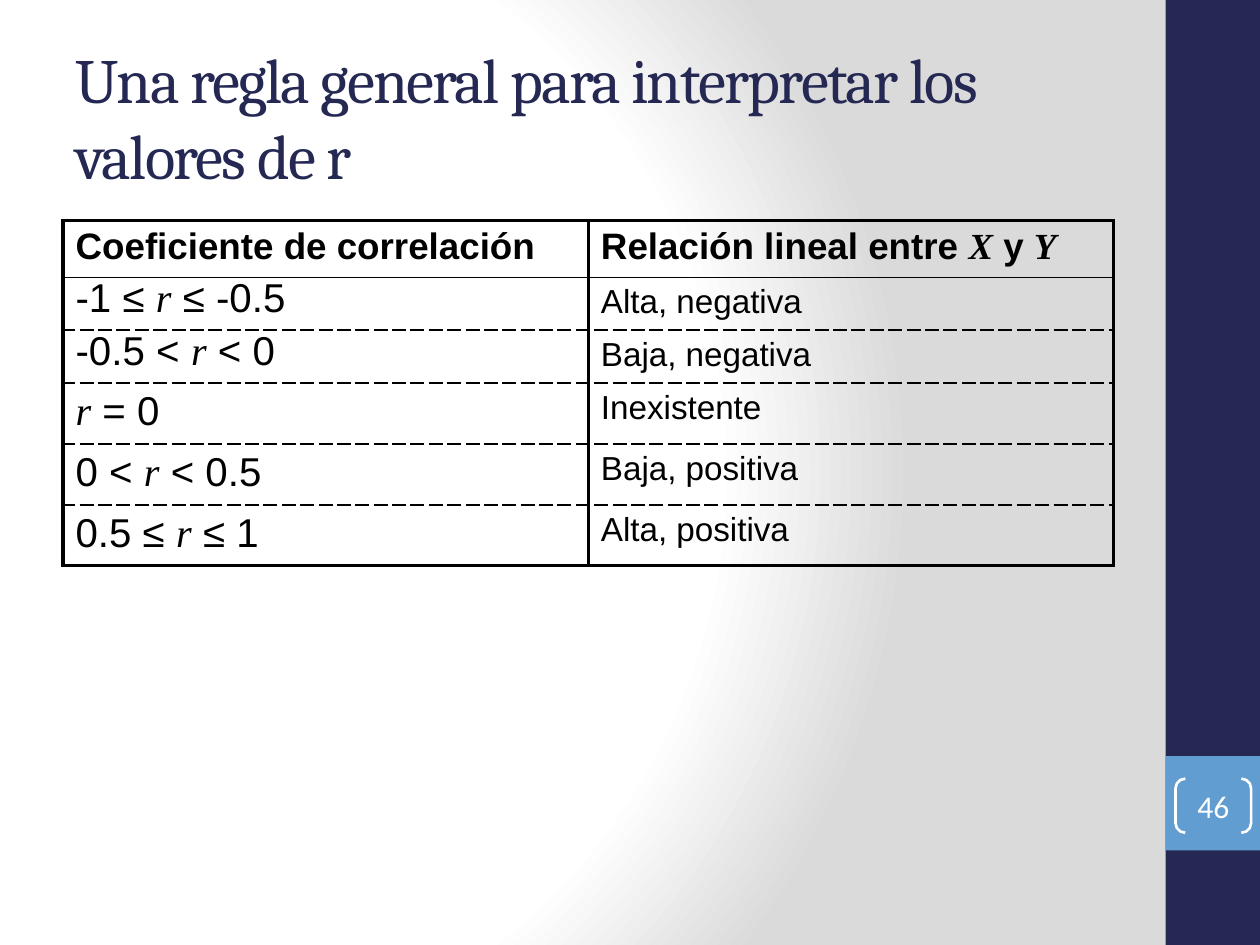
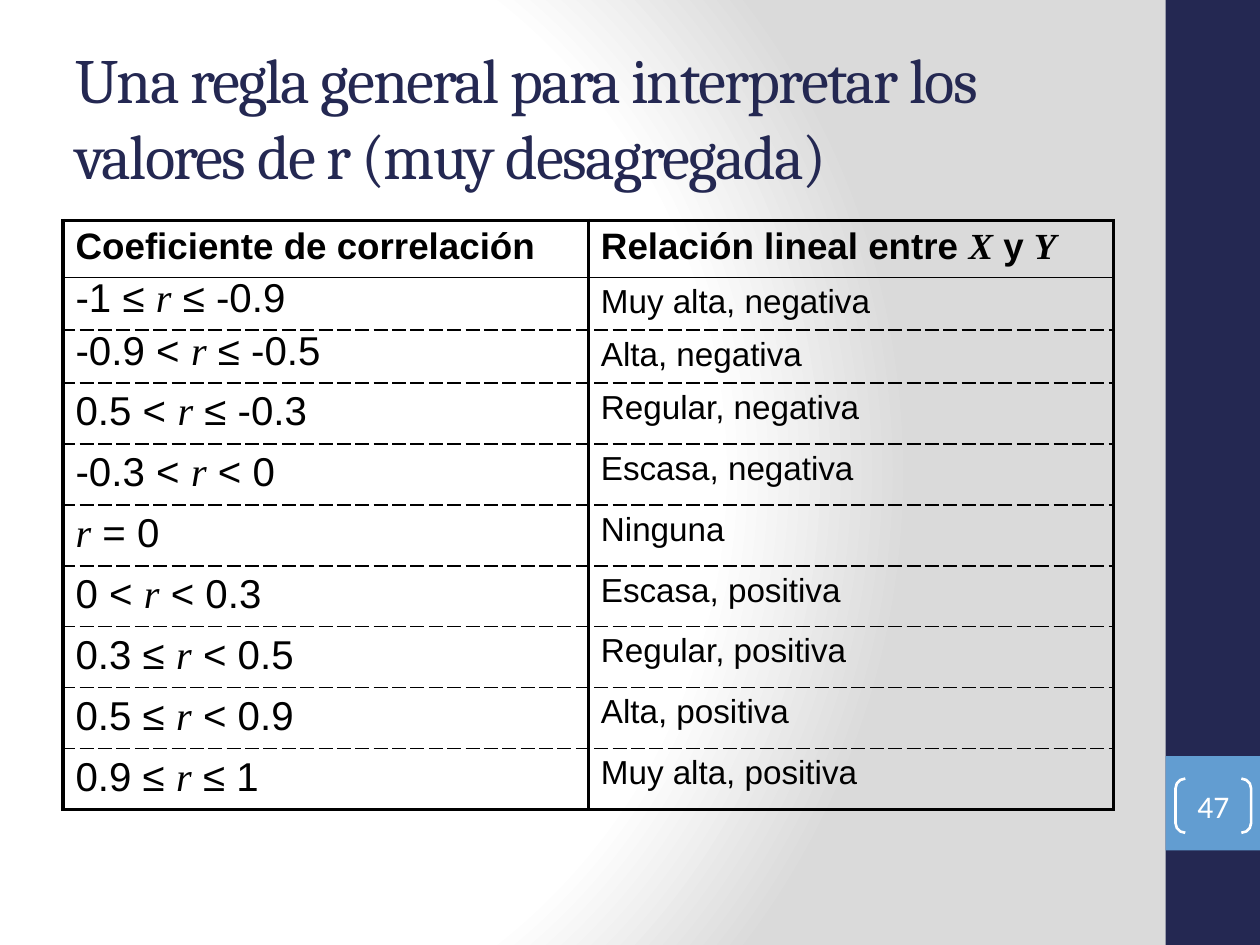
from dataclasses import dataclass

from lxml.etree import SubElement as Sub
from pptx import Presentation
from pptx.dml.color import RGBColor as Rgb
from pptx.enum.shapes import MSO_SHAPE as Kind
from pptx.enum.text import MSO_ANCHOR as Anchor, PP_ALIGN as Align
from pptx.oxml import parse_xml
from pptx.oxml.ns import nsdecls, qn
from pptx.util import Inches, Pt

NAVY, SKY, WHITE, GREY, BLACK = "242852", "629DD1", "FFFFFF", "DADADA", "000000"
HEAD = ("Coeficiente de correlación", "Relación lineal entre *X* y *Y*")
TITLE = "Una regla general para interpretar los valores de r"


@dataclass(frozen=True)
class Band:
    """A filled block in the right margin."""
    top: float
    height: float
    color: str


@dataclass(frozen=True)
class Edge:
    """A horizontal rule of the table."""
    width: float
    dash: str = "solid"


@dataclass(frozen=True)
class Page:
    """The title, number and table rows of one slide."""
    title: str
    number: int
    rows: tuple


BANDS = (Band(0, 7.5, NAVY), Band(6, 0.75, SKY))
THICK, THIN, DASHED = Edge(2.25), Edge(1), Edge(1, "sysDash")
PAGES = (
    Page(TITLE, 46, (
        ("-1 ≤ *r* ≤ -0.5", "Alta, negativa"),
        ("-0.5 < *r* < 0", "Baja, negativa"),
        ("*r* = 0", "Inexistente"),
        ("0 < *r* < 0.5", "Baja, positiva"),
        ("0.5 ≤ *r* ≤ 1", "Alta, positiva"),
    )),
    Page(TITLE + " (muy desagregada)", 47, (
        ("-1 ≤ *r* ≤ -0.9", "Muy alta, negativa"),
        ("-0.9 < *r* ≤ -0.5", "Alta, negativa"),
        ("0.5 < *r* ≤ -0.3", "Regular, negativa"),
        ("-0.3 < *r* < 0", "Escasa, negativa"),
        ("*r* = 0", "Ninguna"),
        ("0 < *r* < 0.3", "Escasa, positiva"),
        ("0.3 ≤ *r* < 0.5", "Regular, positiva"),
        ("0.5 ≤ *r* < 0.9", "Alta, positiva"),
        ("0.9 ≤ *r* ≤ 1", "Muy alta, positiva"),
    )),
)


def rgb(color: str) -> Rgb:
    """Turn a hex string into a colour."""
    return Rgb.from_string(color)


def style(para, name: str, size: float, color: str, bold: bool = False) -> None:
    """Set the font of a whole paragraph."""
    font = para.font
    font.name, font.size, font.bold = name, Pt(size), bold
    font.color.rgb = rgb(color)


def paint_back(master) -> None:
    """Give the master a round gradient from white to grey."""
    fill = master.background.fill
    fill.solid()
    old = master.element.find(".//" + qn("p:bgPr"))[0]
    stops = "".join(
        f'<a:gs pos="{pos}000"><a:srgbClr val="{color}"/></a:gs>'
        for pos, color in ((0, WHITE), (75, WHITE), (100, GREY)))
    grad = parse_xml(
        f'<a:gradFill {nsdecls("a")} rotWithShape="1"><a:gsLst>{stops}</a:gsLst>'
        '<a:path path="circle"><a:fillToRect l="20000" t="50000" r="100000" b="50000"/>'
        '</a:path></a:gradFill>')
    old.getparent().replace(old, grad)


def draw_band(slide, band: Band) -> None:
    """Draw one margin block."""
    box = slide.shapes.add_shape(
        Kind.RECTANGLE, Inches(9.25), Inches(band.top), Inches(0.75), Inches(band.height))
    box.shadow.inherit = False
    box.fill.solid()
    box.fill.fore_color.rgb = rgb(band.color)
    box.line.fill.background()


def draw_title(slide, text: str) -> None:
    """Write the slide title."""
    frame = slide.shapes.add_textbox(
        Inches(0.5), Inches(0.3), Inches(8.33), Inches(1.25)).text_frame
    frame.word_wrap = True
    frame.vertical_anchor = Anchor.MIDDLE
    para = frame.paragraphs[0]
    run = para.add_run()
    run.text = text
    run._r.get_or_add_rPr().set("spc", "-100")
    style(para, "Cambria", 36, NAVY)


def draw_number(slide, number: int) -> None:
    """Write the slide number between brackets."""
    box = slide.shapes.add_shape(
        Kind.DOUBLE_BRACKET, Inches(9.33), Inches(6.18), Inches(0.6), Inches(0.43))
    box.adjustments[0] = 0.18
    box.shadow.inherit = False
    box.fill.background()
    box.line.color.rgb = rgb(WHITE)
    box.line.width = Pt(1.5)
    frame = box.text_frame
    frame.margin_left = frame.margin_right = frame.margin_top = frame.margin_bottom = 0
    frame.vertical_anchor = Anchor.MIDDLE
    para = frame.paragraphs[0]
    para.text = str(number)
    para.alignment = Align.CENTER
    style(para, "Calibri", 18, WHITE)


def set_edges(cell, top: Edge, bottom: Edge) -> None:
    """Clear the cell fill and rule its four sides."""
    cell.fill.background()
    props = cell._tc.get_or_add_tcPr()
    sides = (("L", THICK), ("R", THICK), ("T", top), ("B", bottom))
    for spot, (side, edge) in enumerate(sides):
        props.insert(spot, parse_xml(
            f'<a:ln{side} {nsdecls("a")} w="{Pt(edge.width)}">'
            f'<a:solidFill><a:srgbClr val="{BLACK}"/></a:solidFill>'
            f'<a:prstDash val="{edge.dash}"/></a:ln{side}>'))


def fill_cell(cell, text: str, size: float, bold: bool, tight: bool) -> None:
    """Write cell text, with starred parts as italic symbols."""
    para = cell.text_frame.paragraphs[0]
    if tight:
        para.line_spacing = 0.8
    space = Sub(para._p.get_or_add_pPr(), qn("a:spcBef"))
    Sub(space, qn("a:spcPct")).set("val", "20000")
    style(para, "Arial", size, BLACK, bold)
    for spot, part in enumerate(text.split("*")):
        if part:
            run = para.add_run()
            run.text = part
            if spot % 2:
                run.font.name, run.font.italic = "Times New Roman", True


def draw_table(slide, rows: tuple) -> None:
    """Draw the table of coefficients and relations."""
    lines = (HEAD, *rows)
    last = len(lines) - 1
    highs = [0.43, 0.42, 0.42] + [0.44] * (last - 3) + [0.43]
    edges = [THICK, THIN] + [DASHED] * (last - 1) + [THICK]
    table = slide.shapes.add_table(
        len(lines), 2, Inches(0.5), Inches(1.75), Inches(8.33), Inches(sum(highs))).table
    table.first_row = table.horz_banding = False
    for col in table.columns:
        col.width = Inches(4.17)
    for i, line in enumerate(lines):
        table.rows[i].height = Inches(highs[i])
        for j, text in enumerate(line):
            cell = table.cell(i, j)
            size = 21 if i == 0 else (23, 19)[j]
            fill_cell(cell, text, size, bold=i == 0, tight=j == 0 and i in (1, 2))
            set_edges(cell, edges[i], edges[i + 1])


def main() -> None:
    """Build and save the deck."""
    deck = Presentation()
    deck.slide_width, deck.slide_height = Inches(10), Inches(7.5)
    paint_back(deck.slide_master)
    for page in PAGES:
        slide = deck.slides.add_slide(deck.slide_layouts[6])
        for band in BANDS:
            draw_band(slide, band)
        draw_title(slide, page.title)
        draw_table(slide, page.rows)
        draw_number(slide, page.number)
    deck.save("out.pptx")


if __name__ == "__main__":
    main()
